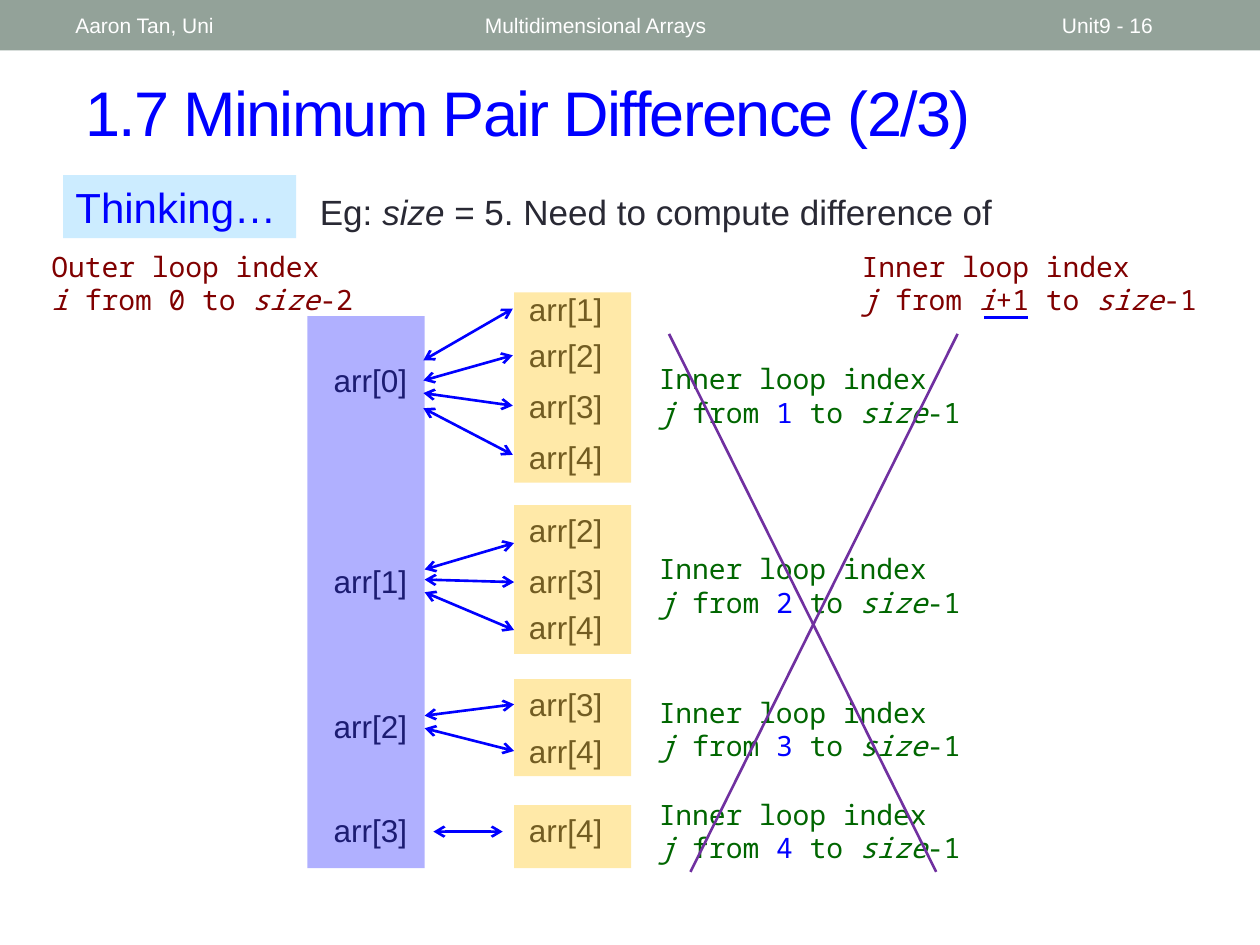
from dataclasses import dataclass

from lxml.etree import SubElement
from pptx import Presentation
from pptx.dml.color import RGBColor
from pptx.enum.shapes import MSO_CONNECTOR, MSO_SHAPE
from pptx.enum.text import MSO_ANCHOR, MSO_AUTO_SIZE, PP_ALIGN
from pptx.oxml.ns import qn
from pptx.slide import Slide
from pptx.util import Inches, Pt

WHITE = RGBColor(0xFF, 0xFF, 0xFF)
SAGE = RGBColor(0x93, 0xA2, 0x99)
BLUE = RGBColor(0x00, 0x00, 0xFF)
SKY = RGBColor(0xCC, 0xEC, 0xFF)
INK = RGBColor(0x29, 0x29, 0x34)
AMBER = RGBColor(0xFF, 0xC0, 0x00)
MAROON = RGBColor(0x80, 0x00, 0x00)
GREEN = RGBColor(0x00, 0x66, 0x00)
PURPLE = RGBColor(0x70, 0x30, 0xA0)

COLUMNS, ROWS = 100, 75
SANS, MONO = "Arial", "Noto Sans Mono"
OUTER_LEFT, INNER_LEFT, BAND_WIDTH = 24.4, 40.8, 9.3

HEADERS = [(5, 31.7, "Aaron Tan, Uni"), (37.5, 45, "Multidimensional Arrays"),
           (83.3, 11.7, "Unit9 - 16")]
LOOPS = [
    {"label": 28.2, "band": (23.2, 15.1), "note": 28.2, "span": (33.6, 40.7),
     "pairs": [(22.5, 28.6, 24.5), (26.2, 30.2, 28.2), (30.2, 31.2, 32.2), (34.3, 32.4, 36.1)]},
    {"label": 44.1, "band": (40.1, 11.8), "note": 43.3, "span": (33.7, 40.8),
     "pairs": [(40.1, 45.2, 43.1), (44.1, 46, 46.2), (47.8, 47, 50)]},
    {"label": 55.6, "band": (53.9, 7.7), "note": 54.7, "span": (33.7, 40.8),
     "pairs": [(53.9, 56.8, 55.9), (57.6, 57.8, 59.6)]},
    {"label": 63.9, "band": (63.9, 5), "note": 62.8, "span": (34.4, 39.9),
     "pairs": [(63.9, 66, 66)]},
]


@dataclass
class Page:
    """Draws styled elements on one slide, placed by columns and rows."""

    slide: Slide
    column: int
    row: int

    def place(self, left, top, width, height):
        return (round(left * self.column), round(top * self.row),
                round(width * self.column), round(height * self.row))

    def fill_text(self, frame, lines, size, color, font=SANS, align=PP_ALIGN.LEFT):
        """Sets lines in which *stars* mark italics and ^carets^ mark blue."""
        for number, line in enumerate(lines):
            para = frame.add_paragraph() if number else frame.paragraphs[0]
            para.alignment = align
            for starred, part in enumerate(line.split("*")):
                for marked, text in enumerate(part.split("^")):
                    if text:
                        span = para.add_run()
                        span.text = text
                        span.font.color.rgb = BLUE if marked % 2 else color
                        style = {"name": font, "size": Pt(size), "italic": starred % 2 == 1}
                        for name, value in style.items():
                            setattr(span.font, name, value)

    def title(self, area, text):
        box = self.slide.shapes.title
        for name, value in zip(("left", "top", "width", "height"), self.place(*area)):
            setattr(box, name, value)
        frame = box.text_frame
        frame.auto_size = MSO_AUTO_SIZE.NONE
        frame.vertical_anchor = MSO_ANCHOR.MIDDLE
        self.fill_text(frame, [text], 36, BLUE)
        frame.paragraphs[0].runs[0]._r.get_or_add_rPr().set("spc", "-100")

    def text(self, area, lines, size, color, grow=True, **style):
        frame = self.slide.shapes.add_textbox(*self.place(*area)).text_frame
        layout = {
            "word_wrap": True,
            "auto_size": MSO_AUTO_SIZE.SHAPE_TO_FIT_TEXT if grow else MSO_AUTO_SIZE.NONE,
            "vertical_anchor": MSO_ANCHOR.TOP if grow else MSO_ANCHOR.MIDDLE,
        }
        for name, value in layout.items():
            setattr(frame, name, value)
        self.fill_text(frame, lines, size, color, **style)

    def label(self, left, top, index):
        self.text((left, top, 10, 4), [f"arr[{index}]"], 18, INK, align=PP_ALIGN.CENTER)

    def note(self, left, top, width, lines, color):
        self.text((left, top, width, 6.4), lines, 16, color, font=MONO)

    def band(self, area, color, opacity=100):
        shape = self.slide.shapes.add_shape(MSO_SHAPE.RECTANGLE, *self.place(*area))
        shape.shadow.inherit = False
        shape.fill.solid()
        shape.fill.fore_color.rgb = color
        shape.line.fill.background()
        if opacity < 100:
            tint = shape._element.spPr.find(".//" + qn("a:srgbClr"))
            SubElement(tint, qn("a:alpha")).set("val", str(opacity * 1000))

    def line(self, start, end, color, arrows=False):
        ends = self.place(*start, *end)
        link = self.slide.shapes.add_connector(MSO_CONNECTOR.STRAIGHT, *ends)
        link.line.color.rgb = color
        link.line.width = Pt(1.5)
        if arrows:
            stroke = link._element.spPr.find(qn("a:ln"))
            for tag in ("a:headEnd", "a:tailEnd"):
                SubElement(stroke, qn(tag)).set("type", "arrow")
        SubElement(link._element.spPr, qn("a:effectLst"))


def draw_loops(page):
    for outer, loop in enumerate(LOOPS):
        page.label(OUTER_LEFT, loop["label"], outer)
        left, right = loop["span"]
        for inner, (top, start, end) in enumerate(loop["pairs"], outer + 1):
            page.label(39.9, top, inner)
            page.line((left, start), (right, end), BLUE, arrows=True)
    page.band((OUTER_LEFT, 25.1, BAND_WIDTH, 43.8), BLUE, 31)
    for first, loop in enumerate(LOOPS, 1):
        top, height = loop["band"]
        page.band((INNER_LEFT, top, BAND_WIDTH, height), AMBER, 34)
        lines = ["Inner loop index", f"*j* from ^{first}^ to *size*-1"]
        page.note(51.3, loop["note"], 28.2, lines, GREEN)


def main():
    deck = Presentation()
    deck.slide_width, deck.slide_height = Inches(10), Inches(7.5)
    slide = deck.slides.add_slide(deck.slide_layouts[5])
    page = Page(slide, deck.slide_width // COLUMNS, deck.slide_height // ROWS)

    page.band((0, 0, COLUMNS, 4), SAGE)
    page.title((5.8, 4.2, 91.7, 9.2), "1.7 Minimum Pair Difference (2/3)")
    for left, width, text in HEADERS:
        page.text((left, 0.2, width, 3.6), [text], 12, WHITE, grow=False)

    page.band((5, 13.9, 18.5, 5), SKY)
    page.text((5, 13.9, 18.5, 5), ["Thinking…"], 24, BLUE)
    page.text((24.4, 14.6, 58.9, 4.4), ["Eg: *size* = 5. Need to compute difference of"], 20, INK)

    draw_loops(page)
    page.note(3.1, 19.3, 27.7, ["Outer loop index", "*i* from 0 to *size*-2"], MAROON)
    page.line((53.1, 26.5), (74.3, 69.2), PURPLE)
    page.line((54.8, 69.2), (76, 26.5), PURPLE)
    page.note(67.4, 19.3, 29.9, ["Inner loop index", "*j* from *i*+1 to *size*-1"], MAROON)
    page.line((78.1, 25.2), (81.6, 25.2), BLUE)
    deck.save("out.pptx")


if __name__ == "__main__":
    main()
